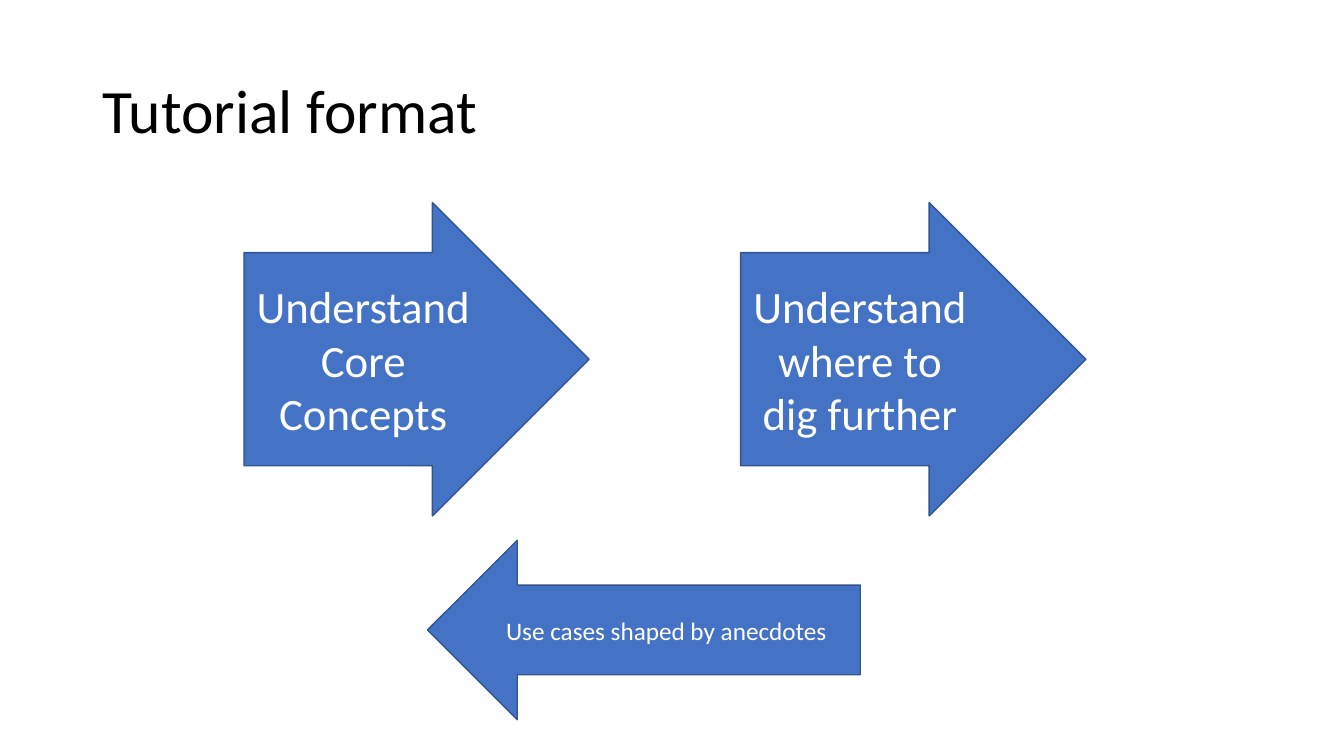
from pptx import Presentation
from pptx.dml.color import RGBColor
from pptx.enum.shapes import MSO_SHAPE
from pptx.enum.text import MSO_ANCHOR, PP_ALIGN
from pptx.util import Inches, Pt

RIGHT, LEFT = MSO_SHAPE.RIGHT_ARROW, MSO_SHAPE.LEFT_ARROW
MIDDLE = MSO_ANCHOR.MIDDLE
CENTER, START = PP_ALIGN.CENTER, PP_ALIGN.LEFT
WIDE, HIGH = 13.33, 7.5
COLORS = {"title": "000000", "fill": "4472C4", "line": "325491", "text": "FFFFFF"}


def color(name):
    """Return the named palette colour."""
    return RGBColor.from_string(COLORS[name])


def apply(target, values):
    """Set each attribute of the target from a dict."""
    for name, value in values.items():
        setattr(target, name, value)


def write(shape, text, size, tint, align, space=1.0):
    """Put one wrapped, vertically centred paragraph in the shape."""
    frame = shape.text_frame
    apply(frame, {"word_wrap": True, "vertical_anchor": MIDDLE})
    para = frame.paragraphs[0]
    apply(para, {"alignment": align, "line_spacing": space})
    run = para.add_run()
    run.text = text
    apply(run.font, {"name": "Calibri", "size": Pt(size)})
    run.font.color.rgb = color(tint)


def add_title(slide, box, text):
    """Add the slide heading in the given box."""
    shape = slide.shapes.add_textbox(*map(Inches, box))
    write(shape, text, 44, "title", START, 0.9)


def add_arrow(slide, box, kind, shaft, text, size):
    """Add a labelled block arrow with the given shaft share."""
    shape = slide.shapes.add_shape(kind, *map(Inches, box))
    shape.shadow.inherit = False
    shape.adjustments[0] = shaft
    shape.fill.solid()
    shape.fill.fore_color.rgb = color("fill")
    shape.line.color.rgb = color("line")
    shape.line.width = Pt(1)
    write(shape, text, size, "text", CENTER)


def add_flow(slide, box, goals, loop):
    """Place the goal arrows in a row with the return arrow below."""
    left, top, width, height = box
    wide, high = 0.41 * width, 0.606 * height
    step = (width - wide) / (len(goals) - 1)
    for col, goal in enumerate(goals):
        place = left + col * step, top, wide, high
        add_arrow(slide, place, RIGHT, 0.68, goal, 32)
    back = 0.347 * height
    place = left + 0.218 * width, top + height - back, 0.514 * width, back
    add_arrow(slide, place, LEFT, 0.5, loop, 18)


def main():
    """Build and save the slide."""
    deck = Presentation()
    apply(deck, {"slide_width": Inches(WIDE), "slide_height": Inches(HIGH)})
    slide = deck.slides.add_slide(deck.slide_layouts[6])
    add_title(slide, (0.92, 0.4, 11.5, 1.45), "Tutorial format")
    goals = "Understand Core Concepts", "Understand where to dig further"
    add_flow(slide, (2.42, 2.01, 8.35, 5.13), goals, "Use cases shaped by anecdotes")
    deck.save("out.pptx")


if __name__ == "__main__":
    main()
